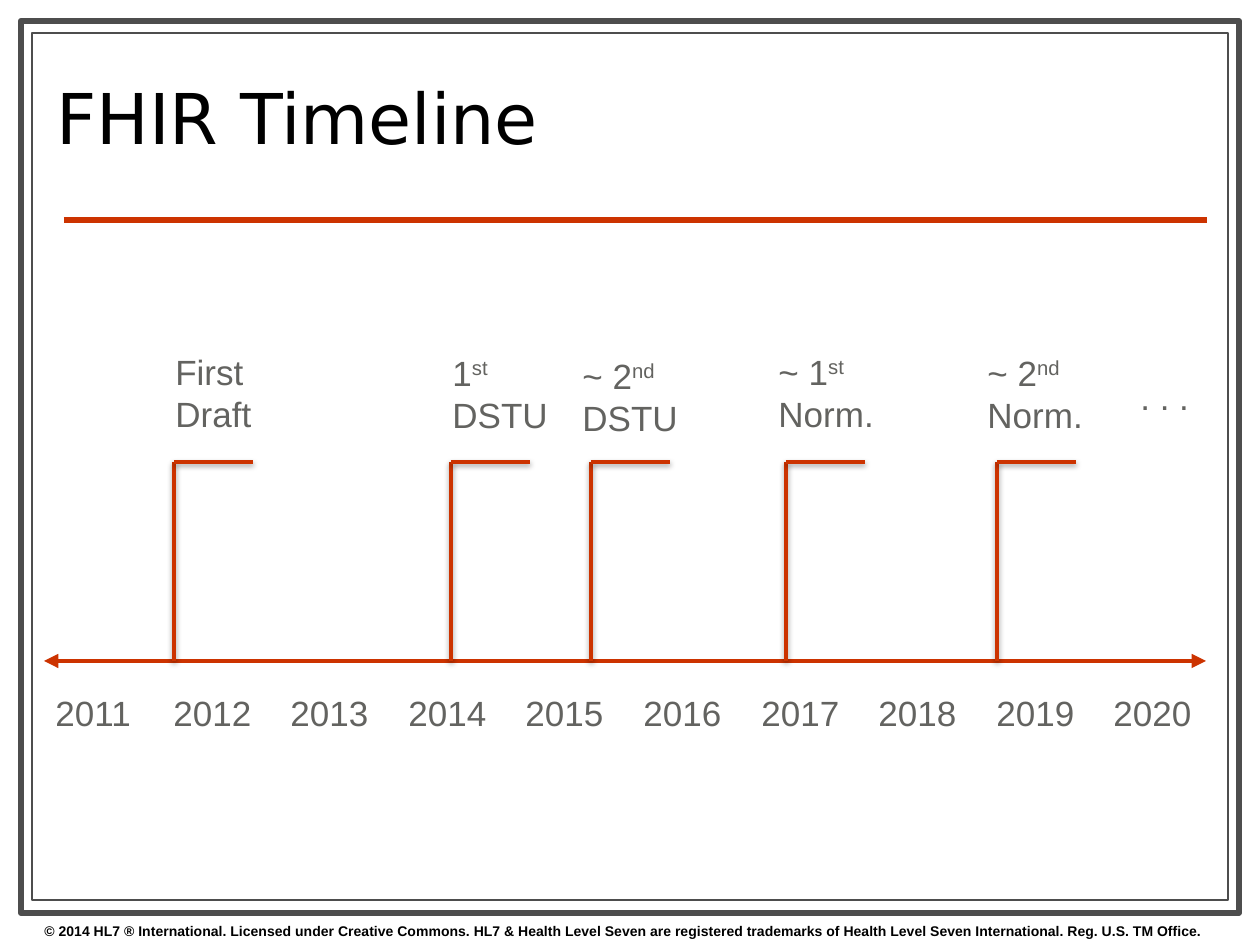
"""Build the FHIR Timeline slide."""
from lxml import etree
from pptx import Presentation
from pptx import util as u
from pptx.dml.color import RGBColor
from pptx.enum import shapes, text
from pptx.oxml.ns import qn

PX = 914400 / 126
COLORS = {"frame": "4D4D4D", "accent": "CC3300", "label": "636360",
          "ink": "000000", "paper": "FFFFFF"}


def add_text(frame, lines, size, color, font="Arial", bold=False):
    """Fill a frame with paragraphs, each a list of (text, baseline) runs."""
    for index, runs in enumerate(lines):
        paragraph = frame.paragraphs[0] if index == 0 else frame.add_paragraph()
        paragraph.alignment = text.PP_ALIGN.LEFT
        for content, baseline in runs:
            run = paragraph.add_run()
            run.text = content
            run.font.size = u.Pt(size)
            run.font.name = font
            run.font.bold = bold
            run.font.color.rgb = RGBColor.from_string(COLORS[color])
            if baseline:
                run._r.get_or_add_rPr().set("baseline", str(baseline))


def add_line(parent, ends, width, arrows=False, shadow=False):
    """Draw a straight accent line between two points given in px."""
    connector = parent.add_connector(shapes.MSO_CONNECTOR.STRAIGHT,
                                     *(u.Emu(int(end * PX)) for end in ends))
    connector.line.color.rgb = RGBColor.from_string(COLORS["accent"])
    connector.line.width = u.Pt(width)
    if arrows:
        for end in ("a:headEnd", "a:tailEnd"):
            etree.SubElement(connector.line._ln, qn(end), type="triangle")
    effects = etree.SubElement(connector._element.spPr, qn("a:effectLst"))
    if shadow:
        outer = etree.SubElement(effects, qn("a:outerShdw"), blurRad=str(u.Pt(3.1)),
                                 dist=str(u.Pt(1.6)), dir="5400000", rotWithShape="0")
        color = etree.SubElement(outer, qn("a:srgbClr"), val=COLORS["ink"])
        etree.SubElement(color, qn("a:alpha"), val="38000")


presentation = Presentation()
presentation.slide_width = u.Inches(10)
presentation.slide_height = u.Inches(7.5)
slide = presentation.slides.add_slide(presentation.slide_layouts[5])

for box, width in (((21, 21, 1218, 892), 3.5), ((32, 33, 1196, 867), 0.75)):
    border = slide.shapes.add_shape(shapes.MSO_SHAPE.RECTANGLE,
                                    *(u.Emu(int(side * PX)) for side in box))
    border.shadow.inherit = False
    border.fill.solid()
    border.fill.fore_color.rgb = RGBColor.from_string(COLORS["paper"])
    border.line.color.rgb = RGBColor.from_string(COLORS["frame"])
    border.line.width = u.Pt(width)
add_line(slide.shapes, (64, 220, 1207, 220), 3)

footer = slide.shapes.add_textbox(*(u.Emu(int(side * PX)) for side in (32, 916, 1260, 29)))
footer.text_frame.word_wrap = True
add_text(footer.text_frame, [[(
    "© 2014 HL7 ® International. Licensed under Creative Commons. "
    "HL7 & Health Level Seven are registered trademarks of "
    "Health Level Seven International. Reg. U.S. TM Office.", 0)]], 8, "ink", bold=True)

title = slide.shapes.title
slide.shapes._spTree.append(title._element)
title.left, title.top, title.width, title.height = (
    u.Emu(int(side * PX)) for side in (44, 45, 903, 159))
title.text_frame.vertical_anchor = text.MSO_ANCHOR.MIDDLE
title.text_frame.auto_size = text.MSO_AUTO_SIZE.NONE
add_text(title.text_frame, [[("FHIR Timeline", 0)]], 40, "ink", "DejaVu Sans")
title.text_frame.paragraphs[0].line_spacing = 0.8

add_line(slide.shapes, (44, 661, 1206, 661), 2.75, arrows=True)
for flag_left in (174, 451, 591, 786, 997):
    flag = slide.shapes.add_group_shape()
    add_line(flag.shapes, (flag_left, 462, flag_left, 661), 2, shadow=True)
    add_line(flag.shapes, (flag_left, 462, flag_left + 79, 462), 2, shadow=True)

labels = [(round(43 + 117.6 * index), 685, 105, 55, [[(str(2011 + index), 0)]])
          for index in range(10)]
labels += [
    (163, 344, 102, 97, [[("First", 0)], [("Draft", 0)]]),
    (440, 345, 122, 97, [[("1", 0), ("st", 30000)], [("DSTU", 0)]]),
    (570, 348, 122, 97, [[("~ 2", 0), ("nd", 30000)], [("DSTU", 0)]]),
    (766, 344, 121, 97, [[("~ 1", 0), ("st", 30000)], [("Norm.", 0)]]),
    (975, 345, 121, 97, [[("~ 2", 0), ("nd", 30000)], [("Norm.", 0)]]),
    (1128, 369, 74, 55, [[(". . .", 0)]]),
]
for *box, lines in labels:
    label = slide.shapes.add_textbox(*(u.Emu(int(side * PX)) for side in box))
    label.text_frame.word_wrap = False
    label.text_frame.auto_size = text.MSO_AUTO_SIZE.SHAPE_TO_FIT_TEXT
    add_text(label.text_frame, lines, 20, "label")

presentation.save("out.pptx")
